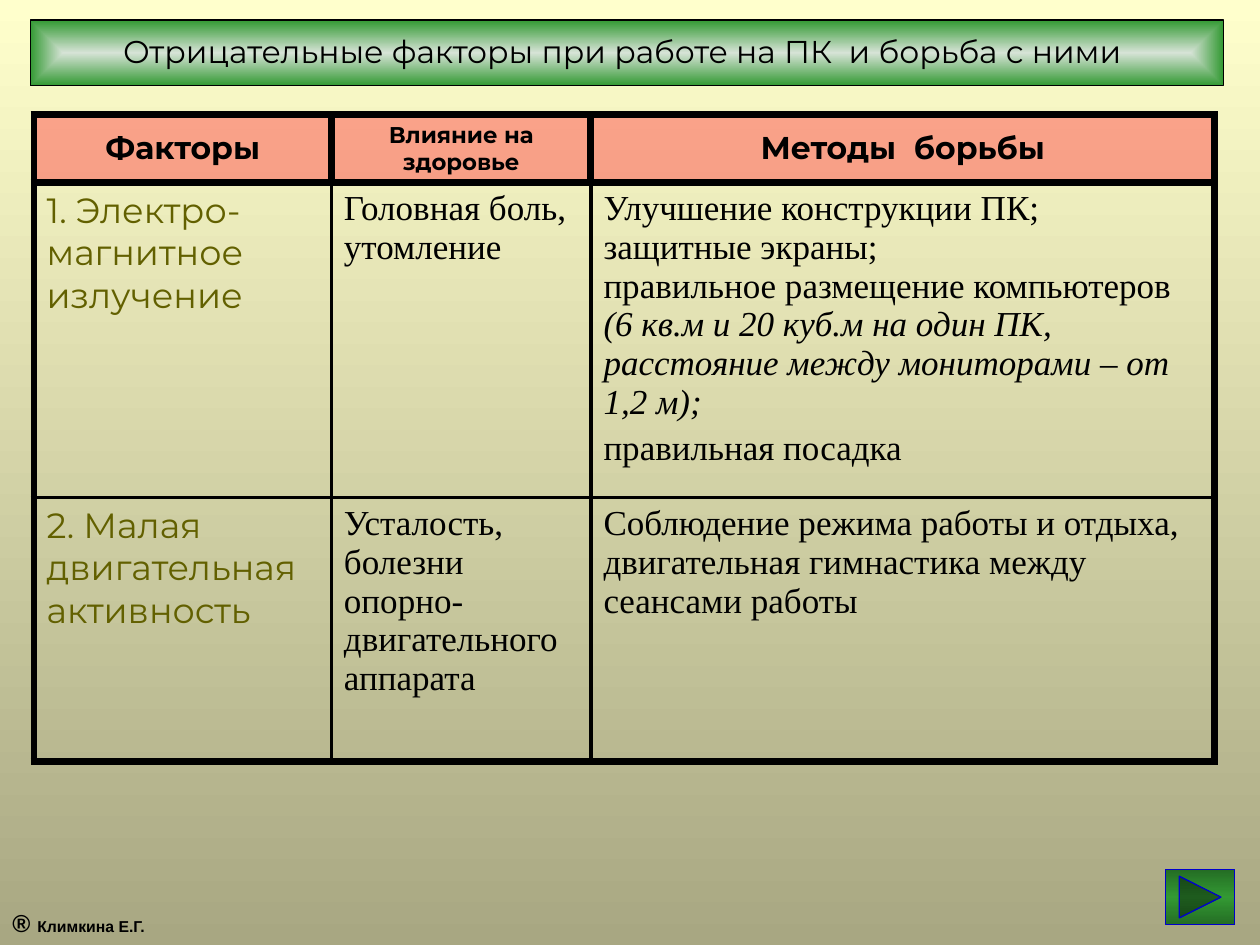
from dataclasses import dataclass
from typing import NamedTuple

from lxml.etree import SubElement
from pptx import Presentation
from pptx.dml.color import RGBColor
from pptx.enum.shapes import MSO_SHAPE as Shape
from pptx.enum.text import MSO_ANCHOR as Anchor, MSO_AUTO_SIZE as AutoSize, PP_ALIGN as Align
from pptx.oxml.ns import qn
from pptx.util import Inches, Pt

COLORS = {
    "ink": "000000", "olive": "626000", "header": "FF5050",
    "sky": "FFFFCC", "ground": "A8A782",
    "mist": "D6E3D6", "green": "339933", "forest": "246D24", "button_line": "0000CC",
}
SLIDE_WIDTH, SLIDE_HEIGHT = Inches(10), Inches(7.5)
GRID_COLUMNS = 1000
STEP = SLIDE_WIDTH // GRID_COLUMNS
THICK, THIN = 4.5, 2.25


class Box(NamedTuple):
    left: int
    top: int
    width: int
    height: int

    def emu(self) -> list[int]:
        return [units * STEP for units in self]


class Span(NamedTuple):
    text: str
    italic: bool = False


@dataclass
class Style:
    size: float
    font: str = "Montserrat"
    color: str = "ink"
    bold: bool = False
    align: Align = Align.LEFT


@dataclass
class Entry:
    paragraphs: list[list[Span]]
    style: Style


HEADING = Style(18, bold=True, align=Align.CENTER)
SMALL_HEADING = Style(13, bold=True, align=Align.CENTER)
FACTOR = Style(20, color="olive")
BODY = Style(20, "Times New Roman")


def entry(text: str, style: Style) -> Entry:
    return Entry([[Span(text)]], style)


METHODS = Entry([
    [Span("Улучшение конструкции ПК;\nзащитные экраны;\nправильное размещение компьютеров "),
     Span("(6 кв.м и 20 куб.м на один ПК, расстояние между мониторами – от 1,2 м);", True)],
    [Span("правильная посадка")],
], BODY)

ROWS = [
    [entry("Факторы", HEADING), entry("Влияние на здоровье", SMALL_HEADING),
     entry("Методы  борьбы", HEADING)],
    [entry("1. Электро-магнитное излучение", FACTOR), entry("Головная боль, утомление", BODY),
     METHODS],
    [entry("2. Малая двигательная активность", FACTOR),
     entry("Усталость, болезни опорно-двигательного аппарата", BODY),
     entry("Соблюдение режима работы и отдыха, двигательная гимнастика между сеансами работы",
           BODY)],
]
COLUMN_WIDTHS = [236, 206, 495]
ROW_HEIGHTS = [53, 250, 209]


def rgb(name: str) -> RGBColor:
    return RGBColor.from_string(COLORS[name])


def apply_style(paragraph, style: Style) -> None:
    paragraph.alignment = style.align
    font = paragraph.font
    font.size, font.name, font.bold = Pt(style.size), style.font, style.bold
    font.color.rgb = rgb(style.color)


def paint_gradient(fill, stops: list[tuple[int, str]], from_center: bool = False) -> None:
    fill.solid()
    solid = fill._xPr.find(qn("a:solidFill"))
    gradient = solid.makeelement(qn("a:gradFill"), {"rotWithShape": "1"})
    stop_list = SubElement(gradient, qn("a:gsLst"))
    for percent, color in stops:
        stop = SubElement(stop_list, qn("a:gs"), pos=str(percent * 1000))
        SubElement(stop, qn("a:srgbClr"), val=COLORS[color])
    if from_center:
        center = SubElement(gradient, qn("a:path"), {"path": "shape"})
        SubElement(center, qn("a:fillToRect"), {side: "50000" for side in "ltrb"})
    else:
        SubElement(gradient, qn("a:lin"), ang="5400000", scaled="0")
    fill._xPr.replace(solid, gradient)


def add_panel(slide, kind: Shape, box: Box, line: str, stops, from_center: bool = False):
    panel = slide.shapes.add_shape(kind, *box.emu())
    panel.shadow.inherit = False
    paint_gradient(panel.fill, stops, from_center)
    panel.line.color.rgb = rgb(line)
    panel.line.width = Pt(0.75)
    return panel


def set_borders(cell, widths: dict[str, float]) -> None:
    properties = cell._tc.get_or_add_tcPr()
    for place, (side, width) in enumerate(widths.items()):
        line = properties.makeelement(qn(f"a:ln{side}"), {"w": str(Pt(width))})
        solid = SubElement(line, qn("a:solidFill"))
        SubElement(solid, qn("a:srgbClr"), val=COLORS["ink"])
        properties.insert(place, line)


def write_entry(frame, content: Entry) -> None:
    for number, spans in enumerate(content.paragraphs):
        paragraph = frame.add_paragraph() if number else frame.paragraphs[0]
        apply_style(paragraph, content.style)
        if number:
            paragraph.space_before = Pt(content.style.size * 0.2)
        for span in spans:
            for part, text in enumerate(span.text.split("\n")):
                if part:
                    paragraph.add_line_break()
                run = paragraph.add_run()
                run.text = text
                if span.italic:
                    run.font.italic = True


def add_factor_table(slide, box: Box) -> None:
    table = slide.shapes.add_table(len(ROWS), len(COLUMN_WIDTHS), *box.emu()).table
    table.first_row = table.horz_banding = False
    for column, width in zip(table.columns, COLUMN_WIDTHS):
        column.width = width * STEP
    for row, height in zip(table.rows, ROW_HEIGHTS):
        row.height = height * STEP
    for r, entries in enumerate(ROWS):
        for c, content in enumerate(entries):
            cell = table.cell(r, c)
            heading = r == 0
            write_entry(cell.text_frame, content)
            cell.vertical_anchor = Anchor.MIDDLE if heading else Anchor.TOP
            if heading:
                cell.fill.solid()
                cell.fill.fore_color.rgb = rgb("header")
                tint = cell._tc.tcPr.find(f".//{qn('a:srgbClr')}")
                SubElement(tint, qn("a:alpha"), val="50000")
            else:
                cell.fill.background()
            thick = {"L": heading or c == 0, "R": heading or c == len(entries) - 1,
                     "T": r <= 1, "B": heading or r == len(ROWS) - 1}
            set_borders(cell, {side: THICK if wide else THIN for side, wide in thick.items()})


def add_title(slide, box: Box, banner) -> None:
    title = slide.shapes.title
    title.left, title.top, title.width, title.height = box.emu()
    banner._element.addnext(title._element)
    frame = title.text_frame
    frame.text = "Отрицательные факторы при работе на ПК  и борьба с ними"
    frame.auto_size = AutoSize.NONE
    frame.vertical_anchor = Anchor.TOP
    apply_style(frame.paragraphs[0], Style(18, align=Align.CENTER))


def add_author(slide, box: Box) -> None:
    frame = slide.shapes.add_textbox(*box.emu()).text_frame
    frame.word_wrap = True
    paragraph = frame.paragraphs[0]
    apply_style(paragraph, Style(14, "Arial", bold=True))
    paragraph.add_run().text = "® "
    author = paragraph.add_run()
    author.text = "Климкина Е.Г."
    author.font.size = Pt(9)


def main() -> None:
    deck = Presentation()
    deck.slide_width, deck.slide_height = SLIDE_WIDTH, SLIDE_HEIGHT
    slide = deck.slides.add_slide(deck.slide_layouts.get_by_name("Title Only"))
    paint_gradient(slide.background.fill, [(0, "sky"), (100, "ground")])
    banner = add_panel(slide, Shape.RECTANGLE, Box(24, 16, 947, 52), "ink",
                       [(0, "mist"), (100, "green")], from_center=True)
    add_title(slide, Box(27, 20, 934, 40), banner)
    add_factor_table(slide, Box(27, 91, sum(COLUMN_WIDTHS), sum(ROW_HEIGHTS)))
    add_author(slide, Box(0, 716, 275, 33))
    add_panel(slide, Shape.ACTION_BUTTON_FORWARD_OR_NEXT, Box(925, 690, 55, 44), "button_line",
              [(0, "forest"), (50, "green"), (100, "forest")])
    deck.save("out.pptx")


if __name__ == "__main__":
    main()
